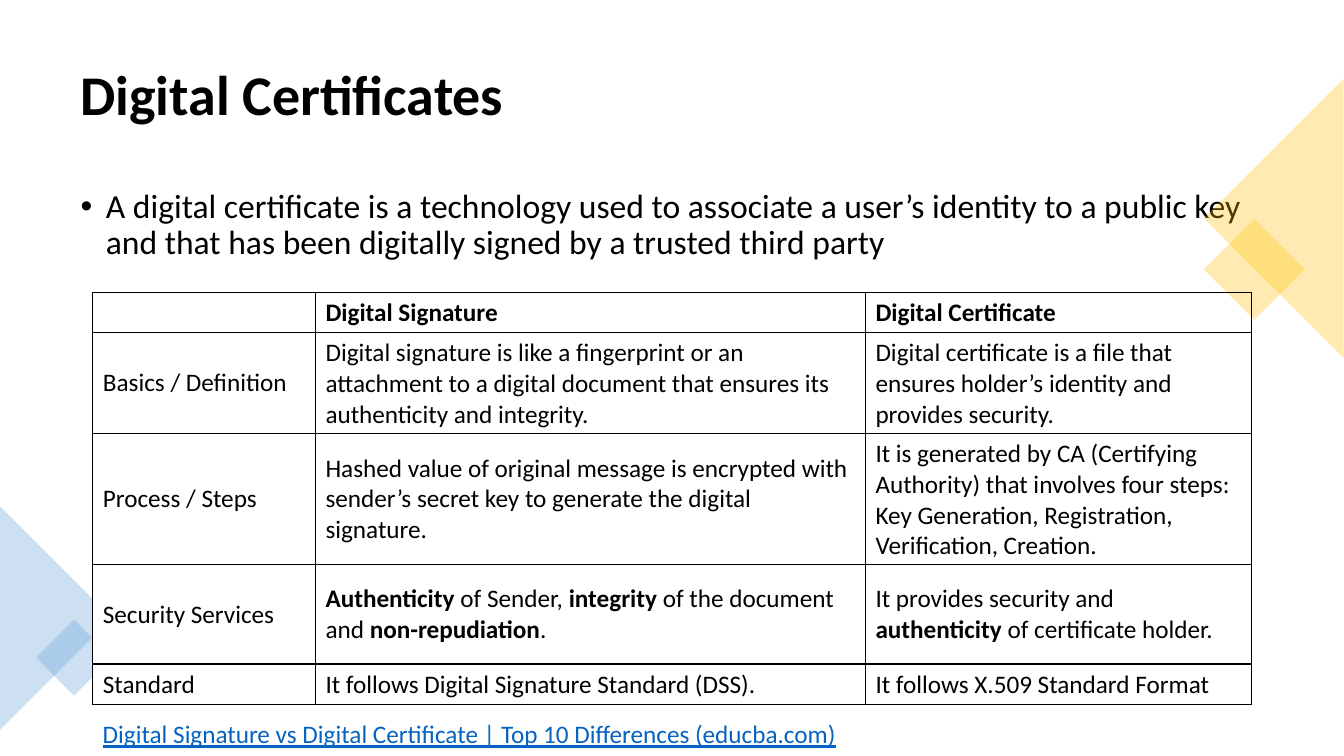
from lxml import etree
from pptx import Presentation
from pptx import util as u
from pptx.dml.color import RGBColor
from pptx.enum import shapes, text
from pptx.oxml.ns import qn

COLORS = {
    "ink": "000000",
    "paper": "FFFFFF",
    "gold": "FFC000",
    "blue": "5B9BD5",
    "link": "0563C1",
}


def add_runs(paragraph, content, size, color="ink", bold=False):
    for index, part in enumerate(content.split("*")):
        if part:
            run = paragraph.add_run()
            run.text = part
            run.font.name = "Calibri"
            run.font.size = u.Pt(size)
            run.font.bold = bold or index % 2 == 1
            run.font.color.rgb = RGBColor.from_string(COLORS[color])


def add_textbox(left, top, width, height, anchor):
    box = slide.shapes.add_textbox(u.Cm(left), u.Cm(top), u.Cm(width), u.Cm(height))
    box.text_frame.word_wrap = True
    box.text_frame.vertical_anchor = anchor
    return box.text_frame.paragraphs[0]


presentation = Presentation()
presentation.slide_width = u.Cm(33.87)
presentation.slide_height = u.Cm(19.05)
slide = presentation.slides.add_slide(presentation.slide_layouts[6])
slide.background.fill.solid()
slide.background.fill.fore_color.rgb = RGBColor.from_string(COLORS["paper"])

title = add_textbox(1.78, 0.89, 30.3, 3.15, text.MSO_ANCHOR.MIDDLE)
title.line_spacing = 0.9
add_runs(title, "Digital Certificates", 40, bold=True)

definition = add_textbox(1.78, 4.65, 30.3, 12.22, text.MSO_ANCHOR.TOP)
definition.line_spacing = 0.9
properties = definition._p.get_or_add_pPr()
properties.set("marL", str(u.Cm(0.64)))
properties.set("indent", str(u.Cm(-0.64)))
etree.SubElement(properties, qn("a:buFont"), typeface="Arial")
etree.SubElement(properties, qn("a:buChar"), char="•")
add_runs(
    definition,
    "A digital certificate is a technology used to associate a user’s identity "
    "to a public key and that has been digitally signed by a trusted third party",
    24,
)

square = shapes.MSO_SHAPE.RECTANGLE
triangle = shapes.MSO_SHAPE.ISOSCELES_TRIANGLE
decorations = [
    (square, 30.71, 5.89, 1.8, 1.8, 45, "gold"),
    (triangle, 28.58, 3.74, 7.04, 3.52, 270, "gold"),
    (triangle, -1.4, 14.17, 5.62, 2.81, 90, "blue"),
    (square, 1.19, 15.9, 1.35, 1.35, 45, "blue"),
]
for kind, left, top, width, height, rotation, color in decorations:
    shape = slide.shapes.add_shape(kind, u.Cm(left), u.Cm(top), u.Cm(width), u.Cm(height))
    shape.rotation = rotation
    shape.shadow.inherit = False
    shape.fill.solid()
    shape.fill.fore_color.rgb = RGBColor.from_string(COLORS[color])
    shape.line.fill.background()
    for tint in shape.element.spPr.iter(qn("a:srgbClr")):
        etree.SubElement(tint, qn("a:alpha"), val="30000")

rows = [
    ("", "*Digital Signature*", "*Digital Certificate*"),
    (
        "Basics / Definition",
        "Digital signature is like a fingerprint or an attachment to a digital "
        "document that ensures its authenticity and integrity.",
        "Digital certificate is a file that ensures holder’s identity and provides security.",
    ),
    (
        "Process / Steps",
        "Hashed value of original message is encrypted with sender’s secret key "
        "to generate the digital signature.",
        "It is generated by CA (Certifying Authority) that involves four steps: "
        "Key Generation, Registration, Verification, Creation.",
    ),
    (
        "Security Services",
        "*Authenticity* of Sender, *integrity* of the document and *non-repudiation*.",
        "It provides security and *authenticity* of certificate holder.",
    ),
    (
        "Standard",
        "It follows Digital Signature Standard (DSS).",
        "It follows X.509 Standard Format",
    ),
]
frame = slide.shapes.add_table(5, 3, u.Cm(2.34), u.Cm(7.37), u.Cm(29.2), u.Cm(10.2))
table = frame.table
table.first_row = False
table.horz_banding = False
for column, width in zip(table.columns, (5.61, 13.86, 9.73)):
    column.width = u.Cm(width)
for row, height in zip(table.rows, (1, 2.5, 3.22, 2.5, 1)):
    row.height = u.Cm(height)

for row_index, row in enumerate(rows):
    for column_index, content in enumerate(row):
        cell = table.cell(row_index, column_index)
        cell.vertical_anchor = text.MSO_ANCHOR.MIDDLE
        if (row_index, column_index) == (0, 2):
            cell.fill.background()
        else:
            cell.fill.solid()
            cell.fill.fore_color.rgb = RGBColor.from_string(COLORS["paper"])
        add_runs(cell.text_frame.paragraphs[0], content, 18)
        cell_properties = cell._tc.get_or_add_tcPr()
        for position, side in enumerate(("lnL", "lnR", "lnT", "lnB")):
            border = etree.Element(qn(f"a:{side}"), w=str(u.Pt(1)))
            fill = etree.SubElement(border, qn("a:solidFill"))
            etree.SubElement(fill, qn("a:srgbClr"), val=COLORS["ink"])
            cell_properties.insert(position, border)

reference = add_textbox(2.34, 17.98, 29.2, 1.02, text.MSO_ANCHOR.TOP)
add_runs(
    reference,
    "Digital Signature vs Digital Certificate | Top 10 Differences (educba.com)",
    18,
    "link",
)
reference.runs[0].font.underline = True

presentation.save("out.pptx")
